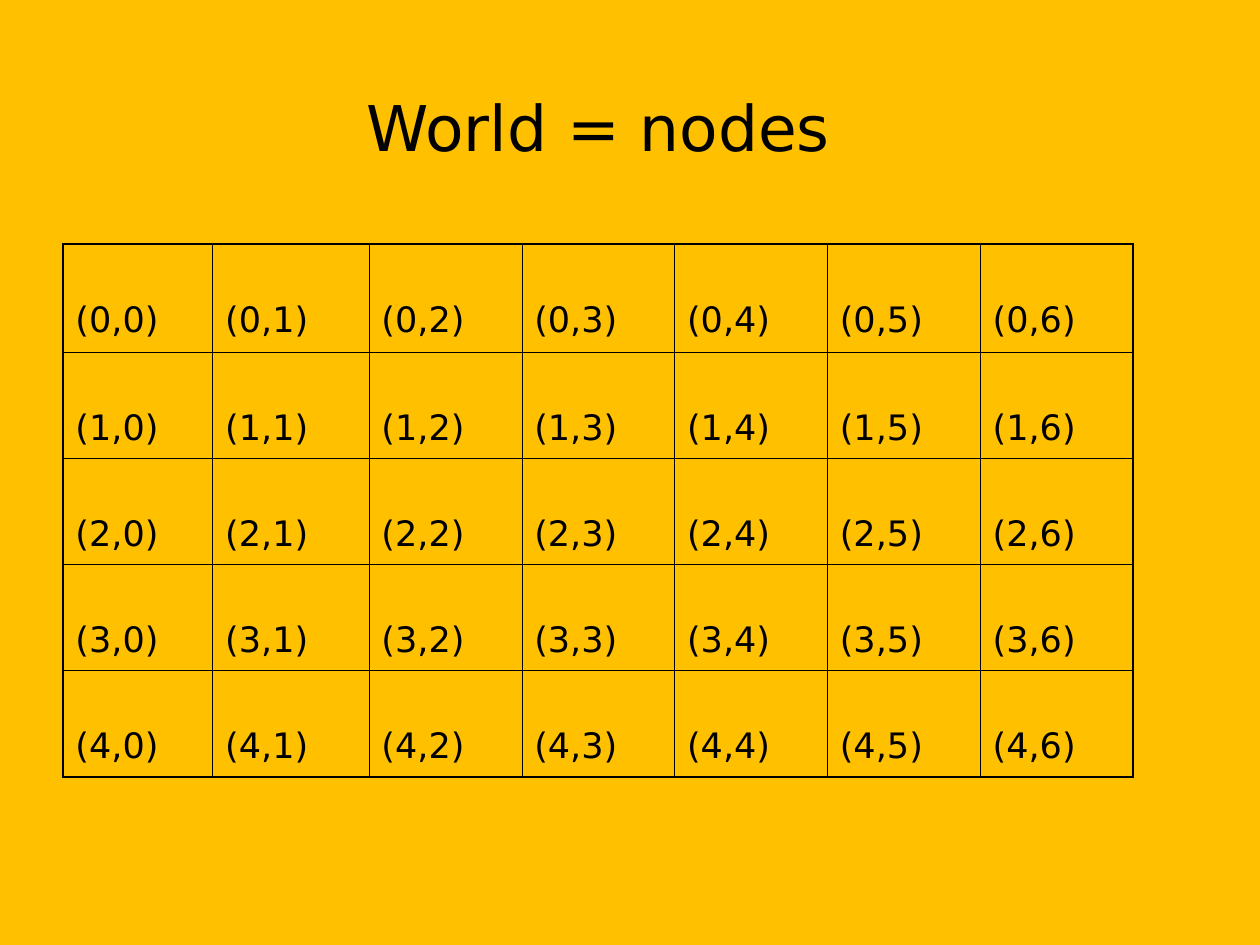
from lxml import etree
from pptx import Presentation
from pptx import util as u
from pptx.dml.color import RGBColor
from pptx.enum import text
from pptx.oxml.ns import qn


def rgb(value):
    return RGBColor.from_string(value)


class Deck:
    FONT = "DejaVu Sans"
    INK = "000000"
    BACKGROUND = "FFC000"
    THIN, THICK = 0.45, 1.08

    def __init__(self):
        self.prs = Presentation()
        self.prs.slide_width = u.Cm(25.4)
        self.prs.slide_height = u.Cm(19.05)
        self.s = self.prs.slides.add_slide(self.prs.slide_layouts[5])
        fill = self.s.background.fill
        fill.solid()
        fill.fore_color.rgb = rgb(self.BACKGROUND)

    def style(self, p, size):
        for r in p.runs:
            r.font.name = self.FONT
            r.font.size = u.Pt(size)
            r.font.bold = False
            r.font.color.rgb = rgb(self.INK)

    def title(self, words, left, top, width, height):
        sp = self.s.shapes.title
        sp.left, sp.top = u.Cm(left), u.Cm(top)
        sp.width, sp.height = u.Cm(width), u.Cm(height)
        tf = sp.text_frame
        tf.text = words
        tf.vertical_anchor = text.MSO_ANCHOR.MIDDLE
        p = tf.paragraphs[0]
        p.alignment = text.PP_ALIGN.CENTER
        self.style(p, 36)

    def borders(self, cell, outer):
        """Draw the four sides; outer tells which lie on the table's edge."""
        props = cell._tc.get_or_add_tcPr()
        for i, side in enumerate(("lnL", "lnR", "lnT", "lnB")):
            width = self.THICK if outer[side] else self.THIN
            ln = etree.Element(qn("a:" + side), w=str(int(u.Pt(width))))
            solid = etree.SubElement(ln, qn("a:solidFill"))
            etree.SubElement(solid, qn("a:srgbClr"), val=self.INK)
            props.insert(i, ln)

    def grid(self, left, top, widths, heights):
        """Table whose cells show their own (row,column) coordinates."""
        rows, cols = len(heights), len(widths)
        frame = self.s.shapes.add_table(
            rows, cols, u.Cm(left), u.Cm(top),
            u.Cm(sum(widths)), u.Cm(sum(heights)))
        table = frame.table
        table.first_row = table.horz_banding = False
        for column, width in zip(table.columns, widths):
            column.width = u.Cm(width)
        for row, height in zip(table.rows, heights):
            row.height = u.Cm(height)
        for y in range(rows):
            for x in range(cols):
                cell = table.cell(y, x)
                cell.text = f"({y},{x})"
                cell.fill.background()
                cell.vertical_anchor = text.MSO_ANCHOR.TOP
                cell.margin_left = cell.margin_right = u.Cm(0.25)
                cell.margin_top = u.Cm(1.12)
                cell.margin_bottom = u.Cm(0.13)
                self.style(cell.text_frame.paragraphs[0], 20)
                self.borders(cell, {"lnL": x == 0, "lnR": x == cols - 1,
                                    "lnT": y == 0, "lnB": y == rows - 1})


def main():
    deck = Deck()

    # Heading
    deck.title("World = nodes", 1.27, 1.07, 21.59, 2.97)

    # World grid
    deck.grid(1.27, 4.92, [3.02, 3.15] + [3.08] * 5, [2.18] + [2.14] * 4)

    deck.prs.save("out.pptx")


if __name__ == "__main__":
    main()
